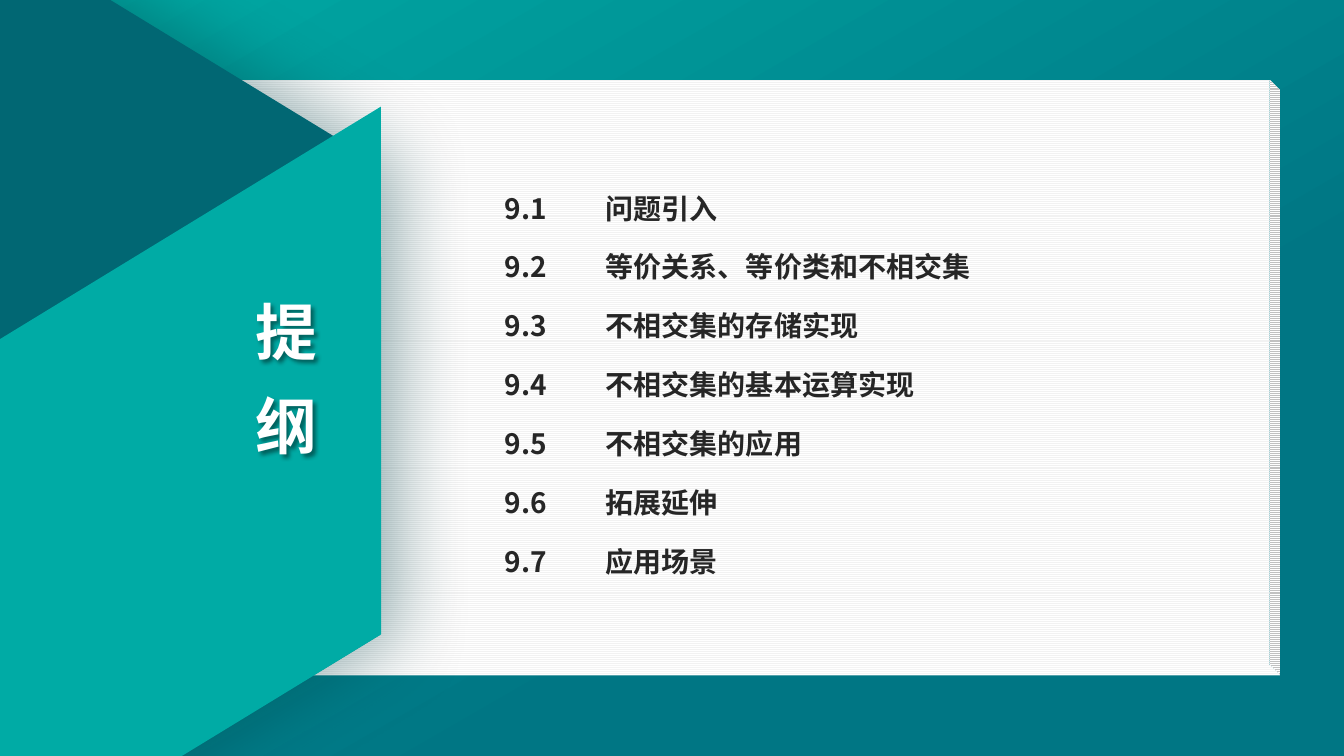
import pptx
import pptx.dml.color
import pptx.enum.dml
import pptx.enum.shapes
import pptx.enum.text
import pptx.oxml
import pptx.oxml.ns
import pptx.util

RGBColor = pptx.dml.color.RGBColor
Inches = pptx.util.Inches
Pt = pptx.util.Pt
Shape = pptx.enum.shapes.MSO_SHAPE

TEAL = RGBColor(0x00, 0xAB, 0xA5)
DEEP_TEAL = RGBColor(0x00, 0x76, 0x84)
DARK_TEAL = RGBColor(0x01, 0x67, 0x73)
SHADE = RGBColor(0x01, 0x3F, 0x45)
PAPER_LINE = RGBColor(0xF2, 0xF2, 0xF2)
WHITE = RGBColor(0xFF, 0xFF, 0xFF)
BLACK = RGBColor(0x00, 0x00, 0x00)
INK = RGBColor(0x26, 0x26, 0x26)
FONT = "Noto Sans CJK SC"

WIDTH, HEIGHT = 13.33, 7.5
TITLE = "提纲"
SECTIONS = ["问题引入", "等价关系、等价类和不相交集", "不相交集的存储实现",
            "不相交集的基本运算实现", "不相交集的应用", "拓展延伸", "应用场景"]


def set_gradient(fill, stops, clockwise_angle):
    fill.gradient()
    fill.gradient_angle = 360 - clockwise_angle
    for stop, (position, color) in zip(fill.gradient_stops, stops):
        stop.position = position
        stop.color.rgb = color


def set_shadow(shape, color, alpha, blur, distance, angle):
    """Cast an outer shadow; alpha in percent, lengths in points."""
    shape.shadow.inherit = False
    effects = shape._element.spPr.find(pptx.oxml.ns.qn("a:effectLst"))
    effects.append(pptx.oxml.parse_xml(
        f'<a:outerShdw {pptx.oxml.ns.nsdecls("a")} blurRad="{Pt(blur)}" '
        f'dist="{Pt(distance)}" dir="{angle * 60000}" algn="ctr" rotWithShape="0">'
        f'<a:srgbClr val="{color}"><a:alpha val="{alpha * 1000}"/></a:srgbClr>'
        '</a:outerShdw>'))


def add_tab_stop(para, position):
    para._p.get_or_add_pPr().append(pptx.oxml.parse_xml(
        f'<a:tabLst {pptx.oxml.ns.nsdecls("a")}>'
        f'<a:tab pos="{Inches(position)}" algn="l"/></a:tabLst>'))


def style_span(span, size, color):
    font = span.font
    font.name, font.size, font.bold = FONT, Pt(size), True
    font.color.rgb = color
    latin = span._r.rPr.find(pptx.oxml.ns.qn("a:latin"))
    latin.addnext(pptx.oxml.parse_xml(
        f'<a:ea {pptx.oxml.ns.nsdecls("a")} typeface="{FONT}"/>'))


def add_panel(page, kind, box, adjustment, rotation=0):
    panel = page.shapes.add_shape(kind, *map(Inches, box))
    panel.adjustments[0] = adjustment
    panel.rotation = rotation
    panel.line.fill.background()
    panel.shadow.inherit = False
    return panel


def add_paper(page, box):
    paper = add_panel(page, Shape.CUBE, box, 0.018)
    paper._element.spPr.xfrm.set("flipV", "1")
    paper.fill.patterned()
    paper.fill.pattern = pptx.enum.dml.MSO_PATTERN.LIGHT_HORIZONTAL
    paper.fill.fore_color.rgb = PAPER_LINE
    paper.fill.back_color.rgb = WHITE


def add_folded_ribbon(page, hexagon_box, band_box):
    fold = add_panel(page, Shape.HEXAGON, hexagon_box, 0.305, 90)
    set_gradient(fold.fill, [(0.77, DARK_TEAL), (1, DEEP_TEAL)], 90)
    set_shadow(fold, SHADE, 40, 55, 13, 0)
    band = add_panel(page, Shape.PARALLELOGRAM, band_box, 0.61, 328.6)
    band.fill.solid()
    band.fill.fore_color.rgb = TEAL


def place_title(page, box):
    """Stack the title's characters, one to a line, above the ribbon."""
    title = page.shapes.title
    title.left, title.top, title.width, title.height = map(Inches, box)
    title.fill.background()
    set_shadow(title, BLACK, 43, 3, 3, 45)
    frame = title.text_frame
    frame.margin_left = frame.margin_right = 0
    frame.margin_top = frame.margin_bottom = 0
    frame.vertical_anchor = pptx.enum.text.MSO_ANCHOR.TOP
    frame.auto_size = pptx.enum.text.MSO_AUTO_SIZE.NONE
    frame.text = "\n".join(TITLE)
    for para in frame.paragraphs:
        para.alignment = pptx.enum.text.PP_ALIGN.CENTER
        para.line_spacing = Pt(67)
        para.space_before = Pt(0)
        style_span(para.runs[0], 44, WHITE)
    page.shapes._spTree.append(title._element)


def add_outline(page, box):
    frame = page.shapes.add_textbox(*map(Inches, box)).text_frame
    frame.word_wrap = True
    frame.margin_top = 0
    frame.text = "\n".join(f"9.{number}\t{section}"
                           for number, section in enumerate(SECTIONS, 1))
    for index, para in enumerate(frame.paragraphs):
        add_tab_stop(para, 1)
        para.line_spacing = 1.5
        para.space_before = Pt(6 if index else 0)
        style_span(para.runs[0], 20, INK)


def build_outline_slide(deck):
    page = deck.slides.add_slide(deck.slide_layouts.get_by_name("Title Only"))
    set_gradient(page.background.fill, [(0, TEAL), (0.67, DEEP_TEAL)], 60)
    add_paper(page, (0, 0.79, 12.7, 5.91))
    add_folded_ribbon(page, (-6.21, -0.79, 10.46, 9.51), (-2.74, 2.89, 8.29, 4.47))
    add_outline(page, (4.91, 1.73, 6.94, 4.03))
    place_title(page, (2.44, 2.72, 0.8, 1.9))


def main():
    deck = pptx.Presentation()
    deck.slide_width, deck.slide_height = Inches(WIDTH), Inches(HEIGHT)
    build_outline_slide(deck)
    deck.save("out.pptx")


if __name__ == "__main__":
    main()
